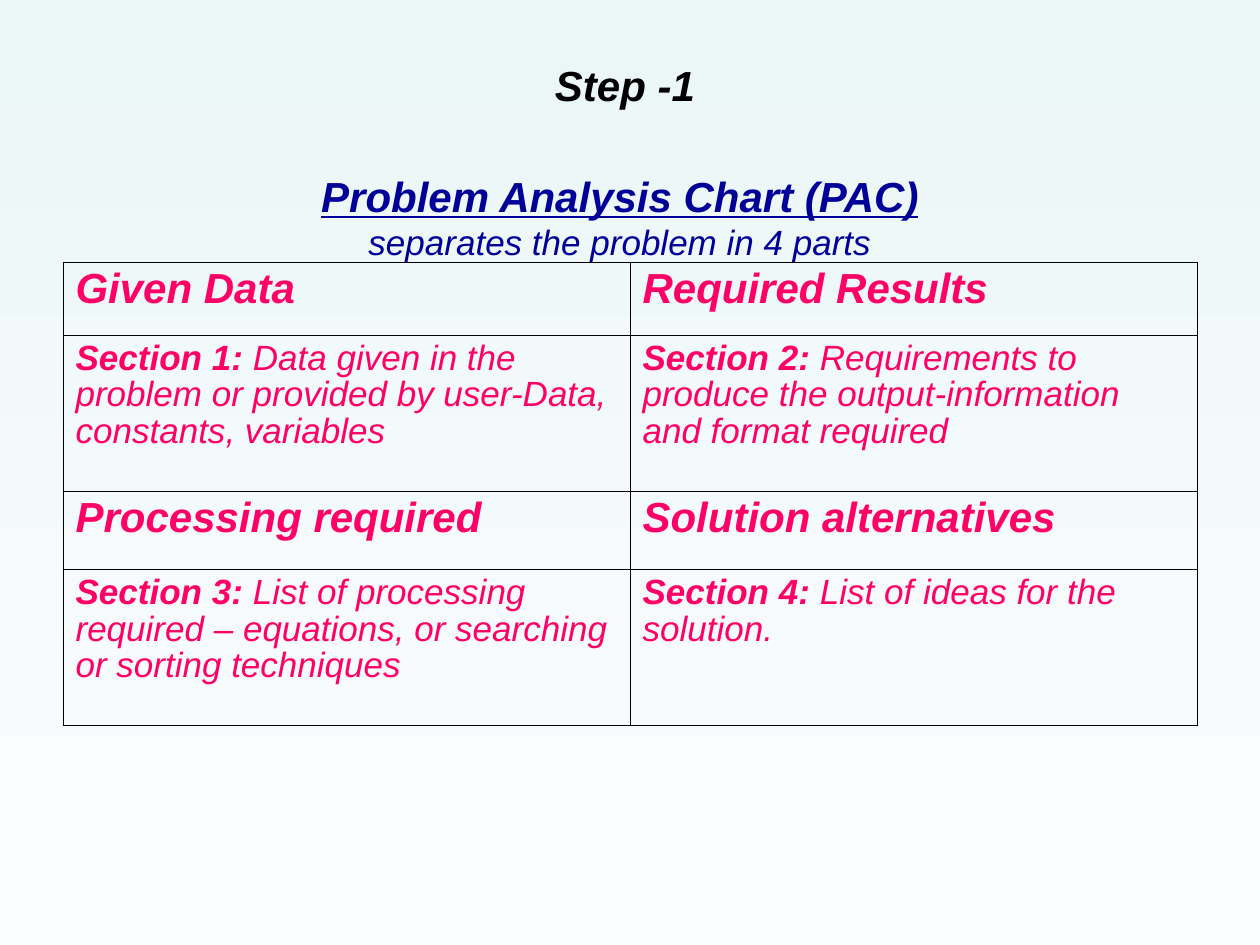
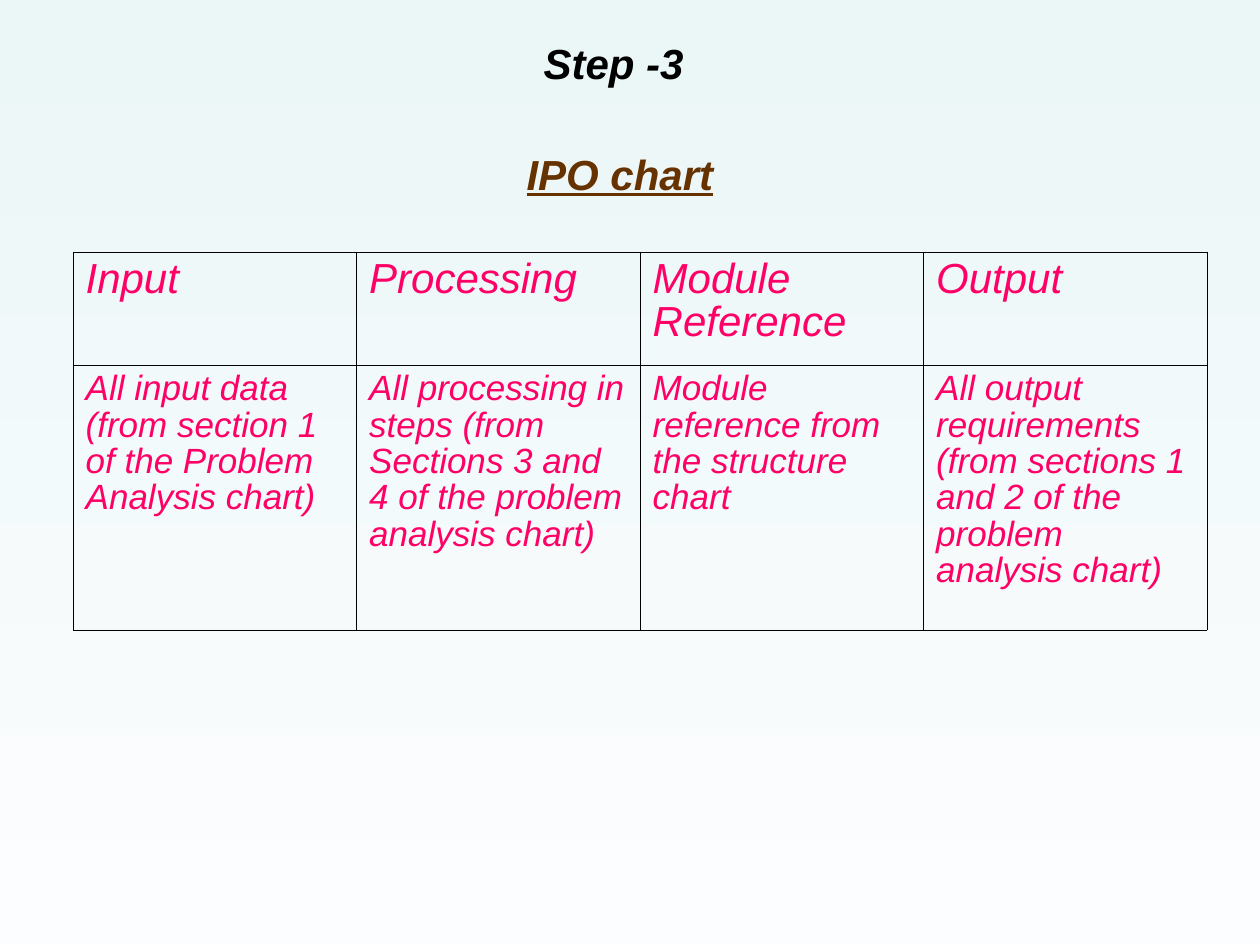
"""Build two slides on problem analysis and IPO charts."""
from lxml import etree
from pptx import Presentation
from pptx.dml.color import RGBColor
from pptx.enum.text import MSO_ANCHOR, MSO_AUTO_SIZE, PP_ALIGN
from pptx.oxml.ns import qn
from pptx.util import Inches, Pt

CENTER = PP_ALIGN.CENTER
MIDDLE = MSO_ANCHOR.MIDDLE
NO_FIT = MSO_AUTO_SIZE.NONE
COLORS = {
    "top": "EBF6F7",
    "bottom": "FCFDFE",
    "step": "000000",
    "analysis": "000099",
    "ipo": "663300",
    "table": "FF0066",
    "border": "000000",
}
LARGE, SMALL = Pt(24), Pt(20)
HEADING = {"size": LARGE, "bold": True, "underline": True}
SUBHEADING = {"size": SMALL, "bold": False, "underline": False}
STRONG_HEAD = {"size": LARGE, "bold": True}
PLAIN_HEAD = {"size": LARGE, "bold": False}
STRONG = {"size": SMALL, "bold": True}
PLAIN = {"size": SMALL, "bold": False}

SLIDES = [
    {
        "step": "Step -1",
        "step_at": (4.17, 0.42),
        "title": [("Problem Analysis Chart (PAC)", HEADING),
                  ("separates the problem in 4 parts", SUBHEADING)],
        "title_color": "analysis",
        "title_at": (0.42, 1.13, 9, 1.18),
        "table_at": (0.5, 2.08),
        "row_heights": [0.58, 1.24, 0.62, 1.24],
        "outer_line": 0.5,
        "rows": [
            [[("Given Data", STRONG_HEAD)], [("Required Results", STRONG_HEAD)]],
            [[("Section 1:", STRONG),
              (" Data given in the problem or provided by user-Data, constants, variables", PLAIN)],
             [("Section 2:", STRONG),
              (" Requirements to produce the output-information and format required", PLAIN)]],
            [[("Processing required", STRONG_HEAD)], [("Solution alternatives", STRONG_HEAD)]],
            [[("Section 3: ", STRONG),
              ("List of processing required – equations, or searching or sorting techniques", PLAIN)],
             [("Section 4: ", STRONG),
              ("List of ideas for the solution.", PLAIN)]],
        ],
    },
    {
        "step": "Step -3",
        "step_at": (4.08, 0.25),
        "title": [("IPO chart", HEADING)],
        "title_color": "ipo",
        "title_at": (0.42, 0.75, 9, 1.25),
        "table_at": (0.58, 2),
        "row_heights": [0.9, 2.1],
        "outer_line": 0.23,
        "rows": [
            [[(head, PLAIN_HEAD)]
             for head in ("Input", "Processing", "Module Reference", "Output")],
            [[(detail, PLAIN)] for detail in (
                "All input data (from section 1 of the Problem Analysis chart)",
                "All processing in steps (from Sections 3 and 4 of the problem analysis chart)",
                "Module reference from the structure chart",
                "All output requirements (from sections 1 and 2 of the problem analysis chart)")],
        ],
    },
]
TABLE_WIDTH = 9
INNER_LINE = 0.23


def add_span(para, text, color, formats):
    span = para.add_run()
    span.text = text
    for name, value in {"name": "Arial", "italic": True, **formats}.items():
        setattr(span.font, name, value)
    span.font.color.rgb = RGBColor.from_string(COLORS[color])


def add_border(cell, side, points):
    line = etree.SubElement(cell._tc.get_or_add_tcPr(), qn(f"a:ln{side}"), w=str(Pt(points)))
    fill = etree.SubElement(line, qn("a:solidFill"))
    etree.SubElement(fill, qn("a:srgbClr"), val=COLORS["border"])


deck = Presentation()
deck.slide_width, deck.slide_height = Inches(10), Inches(7.5)

backdrop = deck.slide_master.background.fill
backdrop.gradient()
backdrop.gradient_angle = 270
for stop, position, shade in zip(backdrop.gradient_stops, (0, 1), ("top", "bottom")):
    stop.position = position
    stop.color.rgb = RGBColor.from_string(COLORS[shade])

for content in SLIDES:
    page = deck.slides.add_slide(deck.slide_layouts[5])

    title = page.shapes.title
    title.left, title.top, title.width, title.height = map(Inches, content["title_at"])
    frame = title.text_frame
    for name, value in {"auto_size": NO_FIT, "word_wrap": True, "vertical_anchor": MIDDLE}.items():
        setattr(frame, name, value)
    for index, (text, formats) in enumerate(content["title"]):
        para = frame.add_paragraph() if index else frame.paragraphs[0]
        para.alignment = CENTER
        add_span(para, text, content["title_color"], formats)

    rows, heights = content["rows"], content["row_heights"]
    last_row, last_column = len(rows) - 1, len(rows[0]) - 1
    table = page.shapes.add_table(
        len(rows), len(rows[0]), *map(Inches, content["table_at"]),
        Inches(TABLE_WIDTH), Inches(sum(heights))).table
    table.first_row = table.horz_banding = False
    for row, height in zip(table.rows, heights):
        row.height = Inches(height)
    for row_index, row in enumerate(rows):
        for column_index, spans in enumerate(row):
            cell = table.cell(row_index, column_index)
            edges = {"L": column_index == 0, "R": column_index == last_column,
                     "T": row_index == 0, "B": row_index == last_row}
            for side, is_outer in edges.items():
                add_border(cell, side, content["outer_line"] if is_outer else INNER_LINE)
            cell.fill.background()
            para = cell.text_frame.paragraphs[0]
            para.line_spacing = 0.93
            for text, formats in spans:
                add_span(para, text, "table", formats)

    box = page.shapes.add_textbox(*map(Inches, (*content["step_at"], 1.58, 0.5)))
    box.text_frame.word_wrap = True
    para = box.text_frame.paragraphs[0]
    para.alignment = CENTER
    add_span(para, content["step"], "step", STRONG_HEAD)

deck.save("out.pptx")
